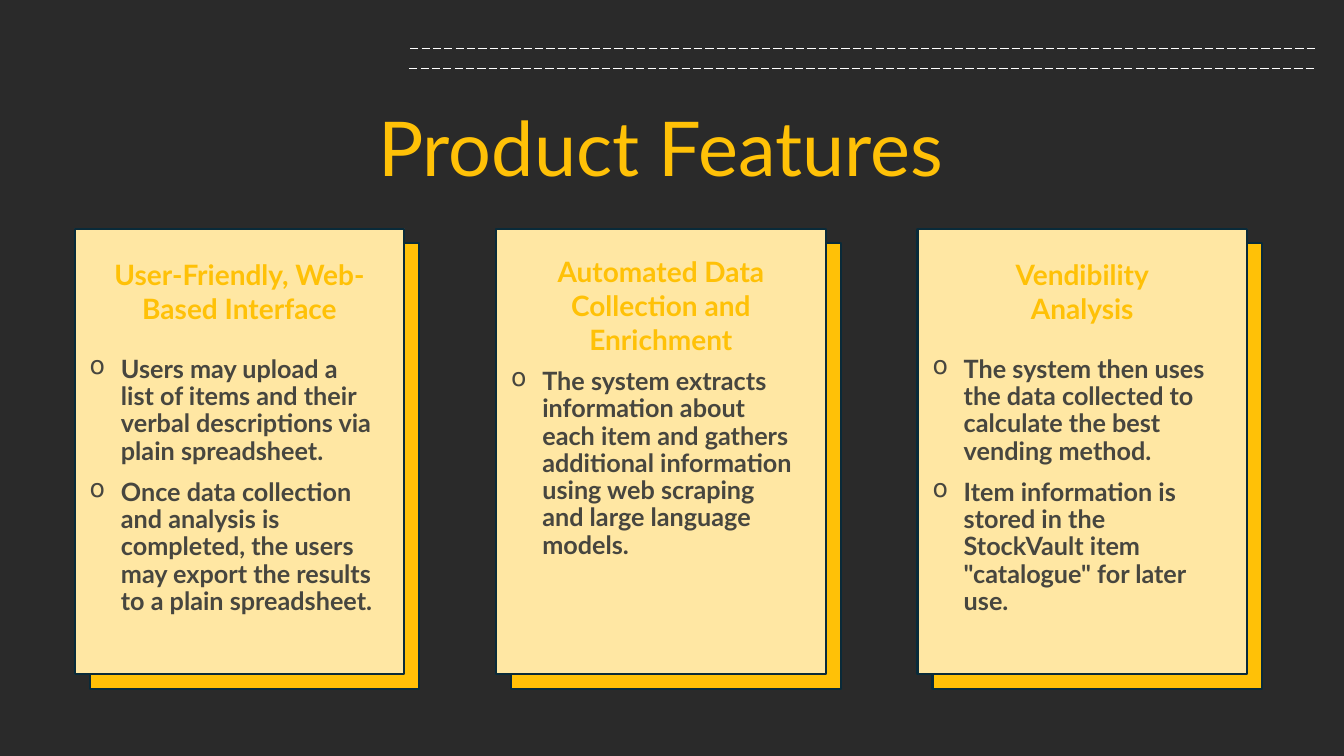
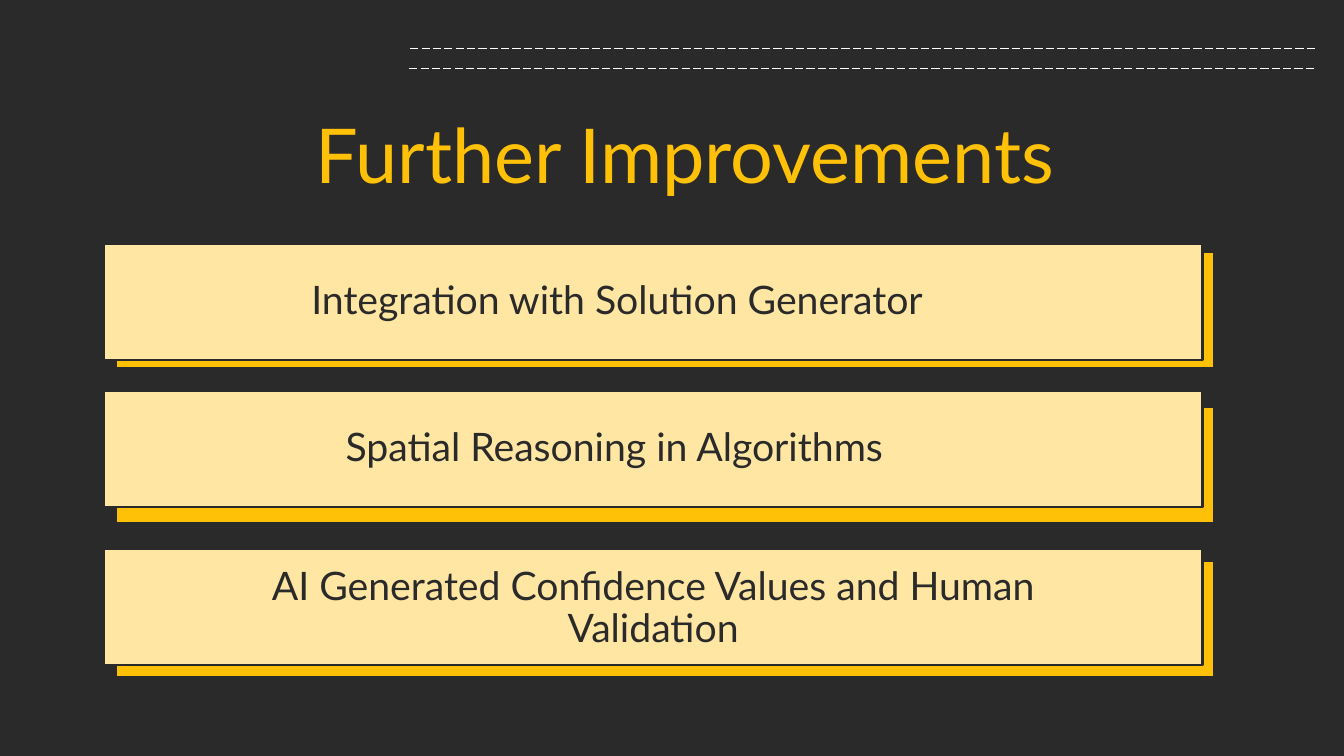
"""Build the product features and further improvements slides."""

from dataclasses import dataclass

from lxml.etree import SubElement
from pptx import Presentation
from pptx.dml.color import RGBColor
from pptx.enum.dml import MSO_LINE
from pptx.enum.shapes import MSO_CONNECTOR, MSO_SHAPE
from pptx.enum.text import MSO_ANCHOR, PP_ALIGN
from pptx.oxml.ns import qn
from pptx.presentation import Presentation as PresentationType
from pptx.shapes.shapetree import GroupShapes, SlideShapes
from pptx.slide import Slide
from pptx.util import Pt

ShapeTree = SlideShapes | GroupShapes


@dataclass(frozen=True)
class TextStyle:
    size: float
    color: RGBColor
    bold: bool = False
    alignment: PP_ALIGN = PP_ALIGN.LEFT
    line_spacing: float = 0.9
    space_before: float = 0
    bullet: str = ""


@dataclass(frozen=True)
class Theme:
    font: str = "Lato"
    background: RGBColor = RGBColor(0x2A, 0x2A, 0x2A)
    amber: RGBColor = RGBColor(0xFF, 0xC1, 0x07)
    cream: RGBColor = RGBColor(0xFF, 0xE7, 0xA3)
    navy: RGBColor = RGBColor(0x09, 0x2A, 0x39)
    white: RGBColor = RGBColor(0xFF, 0xFF, 0xFF)
    title: TextStyle = TextStyle(54, amber, alignment=PP_ALIGN.CENTER)
    heading: TextStyle = TextStyle(20, amber, True, PP_ALIGN.CENTER, 1.0)
    body: TextStyle = TextStyle(18, RGBColor(0x47, 0x46, 0x3F), True, space_before=10, bullet="o")
    item: TextStyle = TextStyle(28, background)
    centered_item: TextStyle = TextStyle(28, background, alignment=PP_ALIGN.CENTER)
    outline_width: float = 1.5
    rule_width: float = 0.75
    bullet_margin: float = 58.3
    bullet_indent: float = -22.3


@dataclass(frozen=True)
class Box:
    left: float
    top: float
    width: float
    height: float

    def shifted(self, right: float, down: float) -> "Box":
        return Box(self.left + right, self.top + down, self.width, self.height)

    def lengths(self) -> tuple[Pt, Pt, Pt, Pt]:
        return Pt(self.left), Pt(self.top), Pt(self.width), Pt(self.height)


@dataclass(frozen=True)
class FeatureCard:
    heading: tuple[str, ...]
    points: tuple[str, ...]
    heading_top: float = 180.7
    points_top: float = 251.3


@dataclass(frozen=True)
class ImprovementBar:
    label: str
    top: float
    label_box: Box
    style: TextStyle


THEME = Theme()
CARD = Box(53.4, 163.4, 235.4, 318.2)
CARD_PITCH = 301
BAR = Box(74.2, 0, 784.8, 82.8)
BAR_BACK_LEFT = 82.8
BAR_BACK_TOP = 180
BAR_BACK_PITCH = 110.5

FEATURES = (
    FeatureCard(
        ("User-Friendly, Web-Based Interface",),
        (
            "Users may upload a list of items and their verbal descriptions via plain spreadsheet.",
            "Once data collection and analysis is completed, the users may export "
            "the results to a plain spreadsheet.",
        ),
    ),
    FeatureCard(
        ("Automated Data Collection and Enrichment",),
        (
            "The system extracts information about each item and gathers additional "
            "information using web scraping and large language models.",
        ),
        178.6,
        260,
    ),
    FeatureCard(
        ("Vendibility", "Analysis"),
        (
            "The system then uses the data collected to calculate the best vending method.",
            'Item information is stored in the StockVault item "catalogue" for later use.',
        ),
    ),
)

IMPROVEMENTS = (
    ImprovementBar(
        "Integration with Solution Generator", 174.2, Box(215.3, 196.6, 488, 38), THEME.item
    ),
    ImprovementBar(
        "Spatial Reasoning in Algorithms", 279.4, Box(239.8, 301.7, 488, 38), THEME.item
    ),
    ImprovementBar(
        "AI Generated Confidence Values and Human Validation",
        392.4,
        Box(169.2, 401, 594.7, 68.4),
        THEME.centered_item,
    ),
)


def add_text(
    shapes: ShapeTree,
    box: Box,
    lines: tuple[str, ...],
    style: TextStyle,
    anchor: MSO_ANCHOR = MSO_ANCHOR.TOP,
) -> None:
    """Add a wrapped text box with one paragraph for each line."""
    frame = shapes.add_textbox(*box.lengths()).text_frame
    frame.word_wrap = True
    frame.vertical_anchor = anchor
    for index, line in enumerate(lines):
        paragraph = frame.add_paragraph() if index else frame.paragraphs[0]
        paragraph.alignment = style.alignment
        paragraph.line_spacing = style.line_spacing
        paragraph.space_before = Pt(style.space_before if index else 0)
        if style.bullet:
            properties = paragraph._p.get_or_add_pPr()
            properties.set("marL", str(Pt(THEME.bullet_margin)))
            properties.set("indent", str(Pt(THEME.bullet_indent)))
            SubElement(properties, qn("a:buChar")).set("char", style.bullet)
        run = paragraph.add_run()
        run.text = line
        run.font.name = THEME.font
        run.font.size = Pt(style.size)
        run.font.bold = style.bold
        run.font.color.rgb = style.color


def add_panel(
    shapes: ShapeTree, kind: MSO_SHAPE, box: Box, fill: RGBColor, outline: RGBColor
) -> None:
    """Add a flat outlined panel with square corners."""
    shape = shapes.add_shape(kind, *box.lengths())
    if kind == MSO_SHAPE.ROUNDED_RECTANGLE:
        shape.adjustments[0] = 0
    shape.shadow.inherit = False
    shape.fill.solid()
    shape.fill.fore_color.rgb = fill
    shape.line.color.rgb = outline
    shape.line.width = Pt(THEME.outline_width)


def add_base_slide(presentation: PresentationType, title: str, title_box: Box) -> Slide:
    """Add a dark slide with its title and the two dashed rules."""
    slide = presentation.slides.add_slide(presentation.slide_layouts[6])
    slide.background.fill.solid()
    slide.background.fill.fore_color.rgb = THEME.background
    add_text(slide.shapes, title_box, (title,), THEME.title, MSO_ANCHOR.MIDDLE)
    rules = slide.shapes.add_group_shape().shapes
    for left, top in ((293, 34.6), (292.3, 49)):
        rule = rules.add_connector(MSO_CONNECTOR.STRAIGHT, Pt(left), Pt(top), Pt(939.6), Pt(top))
        rule.line.color.rgb = THEME.white
        rule.line.width = Pt(THEME.rule_width)
        rule.line.dash_style = MSO_LINE.LONG_DASH
        SubElement(rule._element.spPr, qn("a:effectLst"))
    return slide


def add_feature_card(slide: Slide, card: FeatureCard, front: Box) -> None:
    """Add a grouped card with its offset backing, heading and bullets."""
    shapes = slide.shapes.add_group_shape().shapes
    for box, fill in ((front.shifted(10.7, 10.3), THEME.amber), (front, THEME.cream)):
        add_panel(shapes, MSO_SHAPE.ROUNDED_RECTANGLE, box, fill, THEME.navy)
    heading_box = Box(front.left + 3.6, card.heading_top, 228.2, 55.4)
    add_text(shapes, heading_box, card.heading, THEME.heading)
    points_box = Box(front.left - 32.4, card.points_top, 253.4, 194.4)
    add_text(shapes, points_box, card.points, THEME.body)


def add_improvement_bar(slide: Slide, bar: ImprovementBar, back_top: float) -> None:
    """Add a labelled bar over its amber backing."""
    back = Box(BAR_BACK_LEFT, back_top, BAR.width, BAR.height)
    for box, fill in ((back, THEME.amber), (BAR.shifted(0, bar.top), THEME.cream)):
        add_panel(slide.shapes, MSO_SHAPE.RECTANGLE, box, fill, THEME.background)
    add_text(slide.shapes, bar.label_box, (bar.label,), bar.style)


def main() -> None:
    """Build both slides and save the presentation."""
    presentation = Presentation()
    presentation.slide_width = Pt(960)
    presentation.slide_height = Pt(540)

    features = add_base_slide(presentation, "Product Features", Box(244, 70.6, 455.8, 76.3))
    for index, card in enumerate(FEATURES):
        add_feature_card(features, card, CARD.shifted(index * CARD_PITCH, 0))

    improvements = add_base_slide(
        presentation, "Further Improvements", Box(38.9, 75.6, 900.7, 76.3)
    )
    for index, bar in enumerate(IMPROVEMENTS):
        add_improvement_bar(improvements, bar, BAR_BACK_TOP + index * BAR_BACK_PITCH)

    presentation.save("out.pptx")


if __name__ == "__main__":
    main()
